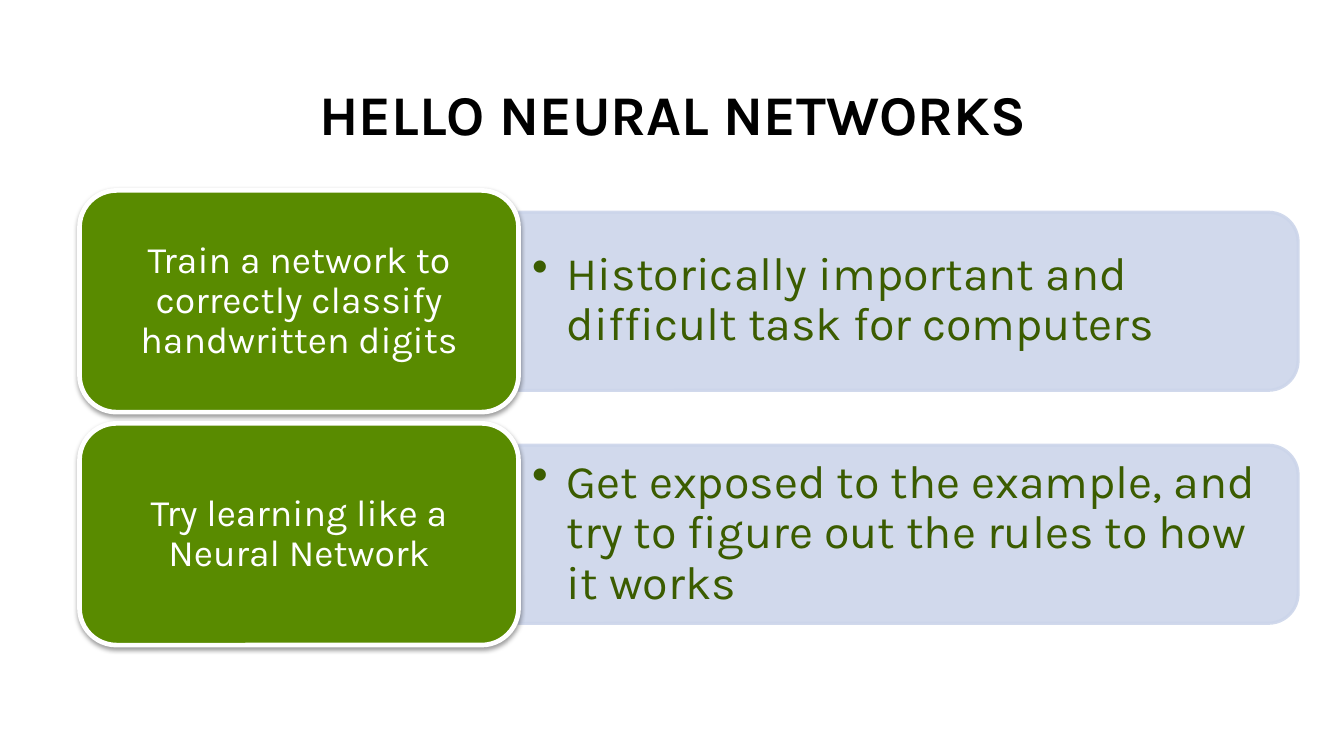
import pptx
import pptx.util
import pptx.dml.color
import pptx.enum.shapes
import pptx.enum.text
import pptx.oxml.ns
from lxml import etree

Inches, Pt = pptx.util.Inches, pptx.util.Pt
RGBColor = pptx.dml.color.RGBColor
MSO_SHAPE = pptx.enum.shapes.MSO_SHAPE
PP_ALIGN = pptx.enum.text.PP_ALIGN
MSO_ANCHOR = pptx.enum.text.MSO_ANCHOR
qn = pptx.oxml.ns.qn

BLACK = RGBColor(0x00, 0x00, 0x00)
WHITE = RGBColor(0xFF, 0xFF, 0xFF)
GREEN = RGBColor(0x59, 0x8B, 0x00)
DARK_GREEN = RGBColor(0x3B, 0x5C, 0x00)
PALE_BLUE = RGBColor(0xCC, 0xD5, 0xEA)


def write_text(shape, text, size, color, anchor, alignment, bold=False):
    frame = shape.text_frame
    frame.word_wrap = True
    frame.auto_size = pptx.enum.text.MSO_AUTO_SIZE.NONE
    frame.vertical_anchor = anchor
    paragraph = frame.paragraphs[0]
    paragraph.alignment = alignment
    paragraph.line_spacing = 0.9
    run = paragraph.add_run()
    run.text = text
    run.font.name = "Karla"
    run.font.size = Pt(size)
    run.font.bold = bold
    run.font.color.rgb = color
    return paragraph


def add_box(kind, left, top, width, height, fill, line, line_width):
    shape = slide.shapes.add_shape(
        kind, Inches(left), Inches(top), Inches(width), Inches(height))
    shape.shadow.inherit = False
    shape.fill.solid()
    shape.fill.fore_color.rgb = fill
    shape.line.color.rgb = line
    shape.line.width = Pt(line_width)
    return shape


presentation = pptx.Presentation()
presentation.slide_width = Inches(12)
presentation.slide_height = Inches(6.75)
slide = presentation.slides.add_slide(presentation.slide_layouts[5])

# Title
title = slide.shapes.title
title.left, title.top = Inches(0.55), Inches(0.72)
title.width, title.height = Inches(10.91), Inches(0.65)
write_text(title, "HELLO NEURAL NETWORKS", 36, BLACK,
           MSO_ANCHOR.BOTTOM, PP_ALIGN.CENTER, bold=True)

# Rows: a green card with a pale detail panel to its right
rows = [
    ("Train a network to correctly classify handwritten digits",
     "Historically important and difficult task for computers"),
    ("Try learning like a Neural Network",
     "Get exposed to the example, and try to figure out the rules to how it works"),
]
FIRST_TOP, ROW_STEP = 1.7, 2.08
CARD_LEFT, CARD_WIDTH, CARD_HEIGHT = 0.71, 3.92, 1.98
PANEL_LENGTH, PANEL_HEIGHT = 6.96, 1.59
panel_left = CARD_LEFT + CARD_WIDTH

for index, (card_text, detail_text) in enumerate(rows):
    top = FIRST_TOP + index * ROW_STEP
    middle = top + CARD_HEIGHT / 2

    # Panel, turned so that its rounded end points right
    panel = add_box(MSO_SHAPE.ROUND_2_SAME_RECTANGLE,
                    panel_left + (PANEL_LENGTH - PANEL_HEIGHT) / 2,
                    middle - PANEL_LENGTH / 2,
                    PANEL_HEIGHT, PANEL_LENGTH, PALE_BLUE, PALE_BLUE, 2)
    panel.rotation = 90
    for color in panel._element.spPr.iter(qn("a:srgbClr")):
        etree.SubElement(color, qn("a:alpha"), val="90000")

    # Bulleted detail
    detail = slide.shapes.add_textbox(
        Inches(panel_left), Inches(middle - 0.72), Inches(6.89), Inches(1.43))
    frame = detail.text_frame
    frame.margin_left = frame.margin_right = Inches(0.12)
    frame.margin_top = frame.margin_bottom = Inches(0.06)
    paragraph = write_text(detail, detail_text, 30, DARK_GREEN,
                           MSO_ANCHOR.MIDDLE, PP_ALIGN.LEFT)
    paragraph.level = 1
    properties = paragraph._p.get_or_add_pPr()
    properties.set("marL", str(Inches(0.31)))
    properties.set("indent", str(Inches(-0.31)))
    etree.SubElement(properties, qn("a:buChar"), char="•")

    # Card with a soft shadow below
    card = add_box(MSO_SHAPE.ROUNDED_RECTANGLE, CARD_LEFT, top,
                   CARD_WIDTH, CARD_HEIGHT, GREEN, WHITE, 3)
    effects = card._element.spPr.find(qn("a:effectLst"))
    shadow = etree.SubElement(
        effects, qn("a:outerShdw"), blurRad=str(Pt(3.1)), dist=str(Pt(1.6)),
        dir="5400000", rotWithShape="0")
    shadow_color = etree.SubElement(shadow, qn("a:srgbClr"), val=str(BLACK))
    etree.SubElement(shadow_color, qn("a:alpha"), val="38000")
    write_text(card, card_text, 24, WHITE, MSO_ANCHOR.MIDDLE, PP_ALIGN.CENTER)

presentation.save("out.pptx")
